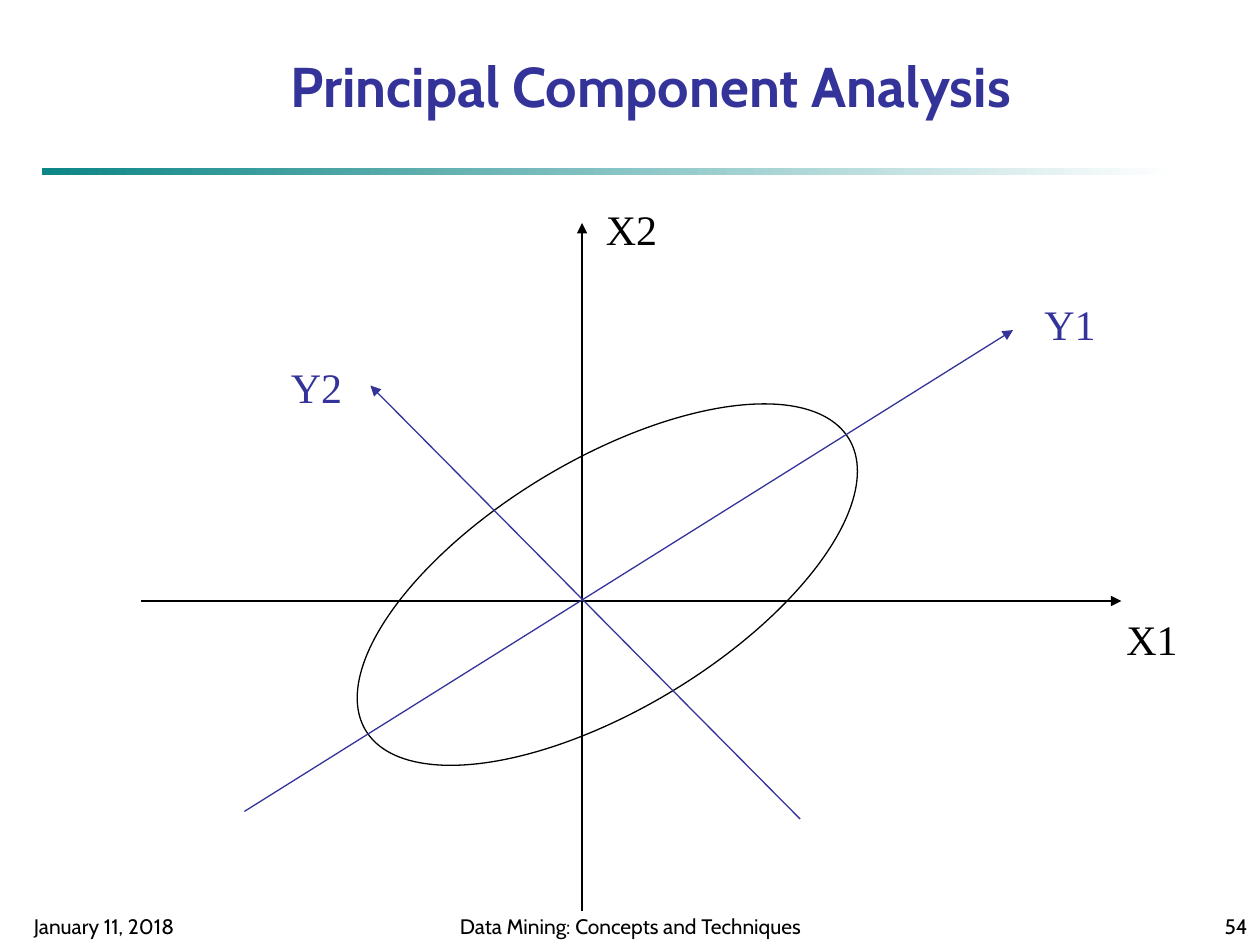
from pptx import Presentation, util as u
from pptx.dml.color import RGBColor
from pptx.enum import shapes, text
from lxml import etree

A = "{http://schemas.openxmlformats.org/drawingml/2006/main}"
BLACK, INDIGO, TEAL, WHITE = "000000", "333399", "0D8686", "FFFFFF"
LEFT, CENTER, RIGHT = text.PP_ALIGN.LEFT, text.PP_ALIGN.CENTER, text.PP_ALIGN.RIGHT
TOP, MIDDLE, BOTTOM = text.MSO_ANCHOR.TOP, text.MSO_ANCHOR.MIDDLE, text.MSO_ANCHOR.BOTTOM


def rgb(color):
    """Turn a hex string into a colour."""
    return RGBColor.from_string(color)


def write(sp, words, size, font, color, align=LEFT, anchor=TOP, wrap=True, bold=False):
    """Put one formatted line of text into a shape."""
    tf = sp.text_frame
    tf.text = words
    tf.word_wrap, tf.vertical_anchor = wrap, anchor
    p = tf.paragraphs[0]
    p.alignment = align
    f = p.runs[0].font
    f.size, f.name, f.bold = u.Pt(size), font, bold
    f.color.rgb = rgb(color)


prs = Presentation()
prs.slide_width, prs.slide_height = u.Inches(10), u.Inches(7.5)
s = prs.slides.add_slide(prs.slide_layouts[5])

# Title and the fading rule below it
title = s.shapes.title
title.left, title.top = u.Inches(1.5), u.Inches(0.36)
title.width, title.height = u.Inches(7.33), u.Inches(0.63)
write(title, "Principal Component Analysis", 32, "Cabin", INDIGO, CENTER, MIDDLE, bold=True)

rule = s.shapes.add_shape(shapes.MSO_SHAPE.RECTANGLE, u.Inches(0.33), u.Inches(1.33),
                          u.Inches(9), u.Inches(0.06))
rule.shadow.inherit = False
rule.line.fill.background()
rule.fill.gradient()
rule.fill.gradient_angle = 0
for stop, color, position in zip(rule.fill.gradient_stops, (TEAL, WHITE), (0, 1)):
    stop.color.rgb = rgb(color)
    stop.position = position

# Footer: date, course, slide number
footer = [
    (0.17, 2.08, "January 11, 2018", LEFT),
    (3.42, 3.17, "Data Mining: Concepts and Techniques", CENTER),
    (7.92, 2.08, "54", RIGHT),
]
for left, width, words, align in footer:
    sp = s.shapes.add_textbox(u.Inches(left), u.Inches(7.08), u.Inches(width), u.Inches(0.42))
    write(sp, words, 12, "Cabin", BLACK, align, BOTTOM)

# Data cloud
cloud = s.shapes.add_shape(shapes.MSO_SHAPE.OVAL, u.Inches(2.58), u.Inches(3.65),
                           u.Inches(4.48), u.Inches(1.98))
cloud.rotation = 328.9
cloud.shadow.inherit = False
cloud.fill.background()
cloud.line.color.rgb = rgb(BLACK)
cloud.line.width = u.Pt(0.75)

# Axes: name, colour, start, arrow tip, label corner
axes = [
    ("X1", BLACK, (1.12, 4.77), (8.9, 4.77), (8.84, 4.82)),
    ("X2", BLACK, (4.62, 7.23), (4.62, 1.77), (4.71, 1.57)),
    ("Y1", INDIGO, (1.94, 6.44), (8.04, 2.62), (8.19, 2.32)),
    ("Y2", INDIGO, (6.35, 6.5), (2.94, 3.06), (2.21, 2.82)),
]
for name, color, start, tip, corner in axes:
    axis = s.shapes.add_connector(shapes.MSO_CONNECTOR.STRAIGHT,
                                  *(u.Inches(v) for v in start + tip))
    axis.line.color.rgb = rgb(color)
    axis.line.width = u.Pt(0.75)
    etree.SubElement(axis.line._get_or_add_ln(), A + "tailEnd", type="triangle")
    etree.SubElement(axis._element.spPr, A + "effectLst")
    label = s.shapes.add_textbox(*(u.Inches(v) for v in corner + (0.61, 0.5)))
    write(label, name, 24, "Times New Roman", color, wrap=False)

prs.save("out.pptx")
